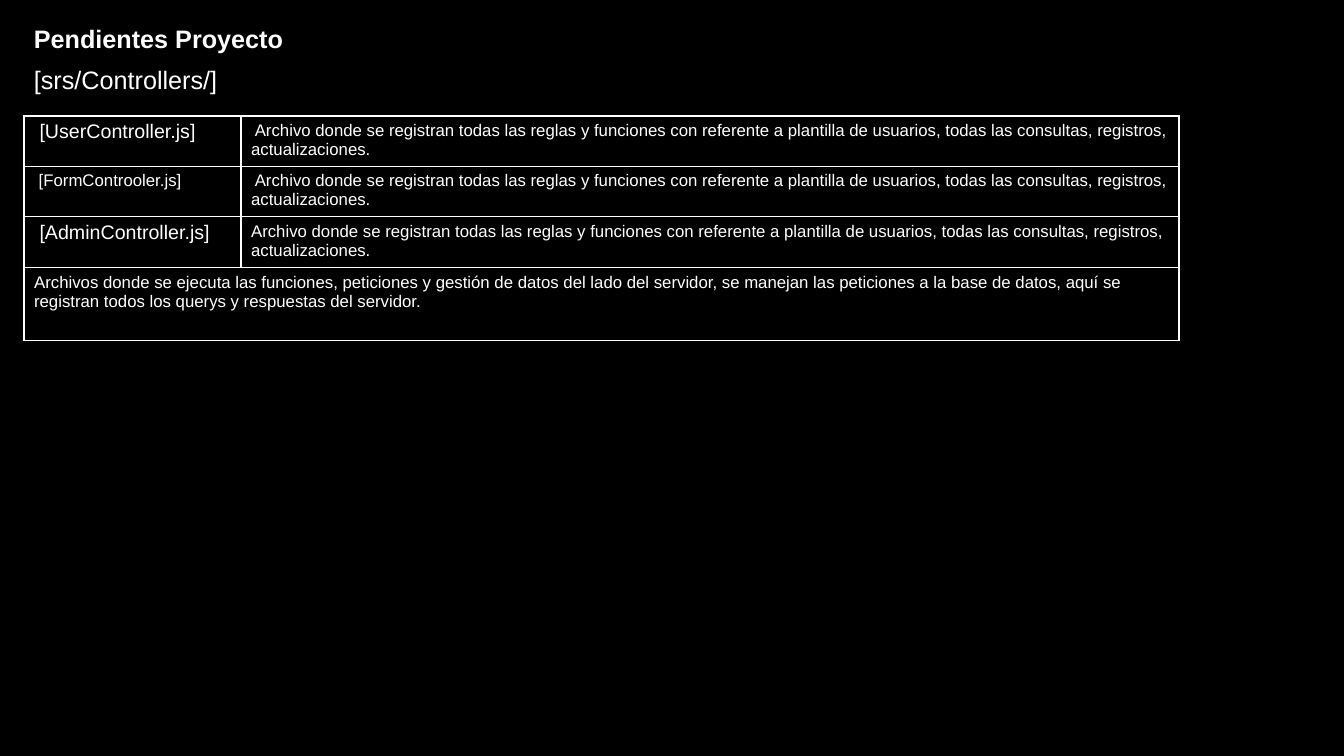
from lxml.etree import SubElement
from pptx import Presentation
from pptx.dml.color import RGBColor as Color
from pptx.enum.text import MSO_AUTO_SIZE as AutoSize
from pptx.oxml.ns import qn
from pptx.util import Emu, Pt

EMU_PER_PX = 914400 / 100.8
COLORS = {"background": "000000", "text": "FFFFFF", "border": "FFFFFF"}
FONT = "Arial"
DESCRIPTION = (
    "Archivo donde se registran todas las reglas y funciones con referente a "
    "plantilla de usuarios, todas las consultas, registros, actualizaciones."
)
SUMMARY = (
    "Archivos donde se ejecuta las funciones, peticiones y gestión de datos del "
    "lado del servidor, se manejan las peticiones a la base de datos, aquí se "
    "registran todos los querys y respuestas del servidor."
)
CONTROLLERS = [
    (" [UserController.js]", 14, " " + DESCRIPTION),
    (" [FormControoler.js]", 12, " " + DESCRIPTION),
    (" [AdminController.js]", 14, DESCRIPTION),
]
COLUMN_WIDTHS = [217, 938]
ROW_HEIGHTS = [50, 50, 51, 73]


def px(length):
    return Emu(round(length * EMU_PER_PX))


def write_text(text_frame, text, size, bold=False):
    text_frame.text = text
    font = text_frame.paragraphs[0].runs[0].font
    font.name = FONT
    font.size = Pt(size)
    font.bold = bold
    font.color.rgb = Color.from_string(COLORS["text"])


def add_heading(slide, text, left, top, width, height, bold=False, wrap=True):
    box = slide.shapes.add_textbox(px(left), px(top), px(width), px(height))
    box.text_frame.word_wrap = wrap
    box.text_frame.auto_size = AutoSize.SHAPE_TO_FIT_TEXT
    write_text(box.text_frame, text, 18, bold)


def style_cell(cell):
    properties = cell._tc.get_or_add_tcPr()
    for side in ("a:lnL", "a:lnR", "a:lnT", "a:lnB"):
        line = SubElement(properties, qn(side), w=str(Pt(1)))
        fill = SubElement(line, qn("a:solidFill"))
        SubElement(fill, qn("a:srgbClr"), val=COLORS["border"])
    cell.fill.solid()
    cell.fill.fore_color.rgb = Color.from_string(COLORS["background"])


def add_controller_table(slide, left, top):
    frame = slide.shapes.add_table(
        len(ROW_HEIGHTS), len(COLUMN_WIDTHS), px(left), px(top),
        px(sum(COLUMN_WIDTHS)), px(sum(ROW_HEIGHTS)),
    )
    table = frame.table
    table.first_row = False
    table.horz_banding = False
    for column, width in zip(table.columns, COLUMN_WIDTHS):
        column.width = px(width)
    for row, height in zip(table.rows, ROW_HEIGHTS):
        row.height = px(height)
    for cell in table.iter_cells():
        style_cell(cell)
    for row, (file_name, size, description) in enumerate(CONTROLLERS):
        write_text(table.cell(row, 0).text_frame, file_name, size)
        write_text(table.cell(row, 1).text_frame, description, 12)
    summary_row = len(CONTROLLERS)
    summary = table.cell(summary_row, 0)
    summary.merge(table.cell(summary_row, 1))
    write_text(summary.text_frame, SUMMARY, 12)


def main():
    presentation = Presentation()
    presentation.slide_width = px(1344)
    presentation.slide_height = px(756)
    slide = presentation.slides.add_slide(presentation.slide_layouts[6])
    slide.background.fill.solid()
    slide.background.fill.fore_color.rgb = Color.from_string(COLORS["background"])
    add_heading(slide, "Pendientes Proyecto", 24, 18, 787, 40, bold=True)
    add_controller_table(slide, 24, 116)
    add_heading(slide, "[srs/Controllers/]", 24, 59, 213, 40, wrap=False)
    presentation.save("out.pptx")


if __name__ == "__main__":
    main()
